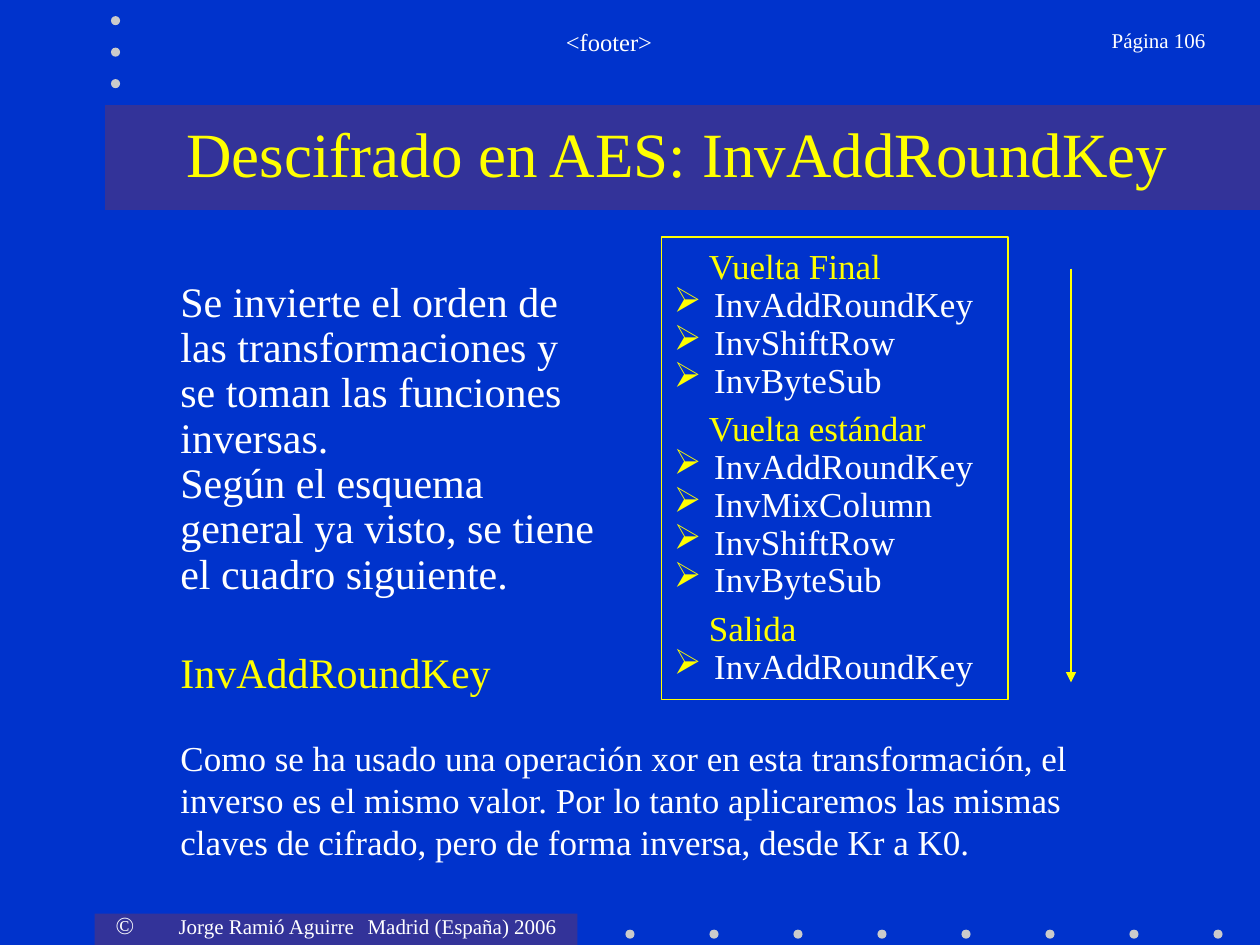
from lxml.etree import SubElement as Sub
from pptx import Presentation
from pptx.dml.color import RGBColor as RGB
from pptx.enum.shapes import MSO_CONNECTOR as Link, MSO_SHAPE as Kind
from pptx.enum.text import MSO_ANCHOR as Anchor, PP_ALIGN as Align
from pptx.oxml.ns import qn
from pptx.util import Pt

COLORS = {"back": "0033CC", "band": "333399", "dot": "CBCBCB",
          "text": "FFFFFF", "accent": "FFFF00"}
FONT = "Times New Roman"
ROUNDS = {
    "Vuelta Final": ["InvAddRoundKey", "InvShiftRow", "InvByteSub"],
    "Vuelta estándar": ["InvAddRoundKey", "InvMixColumn",
                        "InvShiftRow", "InvByteSub"],
    "Salida": ["InvAddRoundKey"],
}


def tint(name):
    return RGB.from_string(COLORS[name])


class Deck:
    """Holds the style and the current slide; lengths are in points."""

    def __init__(self, wide, high):
        self.show = Presentation()
        self.show.slide_width, self.show.slide_height = Pt(wide), Pt(high)
        self.slide = self.show.slides.add_slide(self.show.slide_layouts[6])
        fill = self.slide.background.fill
        fill.solid()
        fill.fore_color.rgb = tint("back")

    def shape(self, kind, x, y, w, h, fill=None, line=None):
        item = self.slide.shapes.add_shape(kind, Pt(x), Pt(y), Pt(w), Pt(h))
        item.shadow.inherit = False
        if fill:
            item.fill.solid()
            item.fill.fore_color.rgb = tint(fill)
        else:
            item.fill.background()
        if line:
            item.line.color.rgb = tint(line)
            item.line.width = Pt(1)
        else:
            item.line.fill.background()
        return item

    def dots(self, x, y, count, dx=0, dy=0):
        for i in range(count):
            self.shape(Kind.OVAL, x + i * dx, y + i * dy, 5.2, 5.2, "dot")

    def frame(self, item, pad=3.6, foot=3.6, anchor=Anchor.TOP):
        """Set the wrapping, margins and anchor of a shape's text."""
        body = item.text_frame
        body.word_wrap = True
        body.margin_left = body.margin_right = Pt(7.2)
        body.margin_top, body.margin_bottom = Pt(pad), Pt(foot)
        body.vertical_anchor = anchor
        return body

    def box(self, x, y, w, h, **look):
        item = self.slide.shapes.add_textbox(Pt(x), Pt(y), Pt(w), Pt(h))
        return self.frame(item, **look)

    def para(self, body, runs, align=Align.LEFT, before=0, space=1.0,
             left=0, mark=None, tabs=()):
        """Add a paragraph; each run is a (text, size, color) tuple."""
        first = body.paragraphs[0]
        line = body.add_paragraph() if first.runs else first
        props = line._p.get_or_add_pPr()
        props.set("marL", str(Pt(left)))
        props.set("indent", str(Pt(-left) if mark else 0))
        if mark:
            hue = Sub(props, qn("a:buClr"))
            Sub(hue, qn("a:srgbClr"), val=COLORS["accent"])
            Sub(props, qn("a:buChar"), char=mark)
        if tabs:
            stops = Sub(props, qn("a:tabLst"))
            for stop in tabs:
                Sub(stops, qn("a:tab"), pos=str(Pt(stop)), algn="l")
        line.alignment, line.line_spacing = align, space
        if before:
            line.space_before = Pt(before)
        for text, size, color in runs:
            run = line.add_run()
            run.text = text
            run.font.name, run.font.size = FONT, Pt(size)
            run.font.color.rgb = tint(color)

    def arrow(self, x, top, end):
        item = self.slide.shapes.add_connector(
            Link.STRAIGHT, Pt(x), Pt(top), Pt(x), Pt(end))
        item.line.color.rgb = tint("accent")
        item.line.width = Pt(1)
        Sub(item.line._get_or_add_ln(), qn("a:tailEnd"), type="triangle")
        Sub(item._element.spPr, qn("a:effectLst"))


def main():
    deck = Deck(720, 540)

    # Bands and dots
    deck.shape(Kind.RECTANGLE, 54, 522, 276, 18, "band")
    deck.dots(357.4, 531.2, 8, dx=48)
    deck.shape(Kind.RECTANGLE, 60, 60, 660, 60, "band")
    deck.dots(63.4, 9.2, 3, dy=18)

    # Header, footer and title
    deck.para(deck.box(59, 516.2, 274, 24),
              [("©", 14, "text"),
               ("\tJorge Ramió Aguirre\tMadrid (España) 2006", 12, "text")],
              tabs=(16.7, 147))
    deck.para(deck.box(114, 12, 468, 36),
              [("<footer>", 14, "text")], Align.CENTER)
    deck.para(deck.box(597.6, 12, 98.4, 36),
              [("Página 106", 12, "text")], Align.RIGHT)
    deck.para(deck.box(66, 60, 642, 54, anchor=Anchor.MIDDLE),
              [("Descifrado en AES: InvAddRoundKey", 36, "accent")],
              Align.CENTER)

    # Order of the rounds
    panel = deck.shape(Kind.RECTANGLE, 378, 135.3, 198, 264.4, line="accent")
    body = deck.frame(panel, pad=7.2, foot=7.2)
    for i, (head, steps) in enumerate(ROUNDS.items()):
        deck.para(body, [(head, 20, "accent")], space=0.9, left=20,
                  before=6.2 if i else 0)
        for step in steps:
            deck.para(body, [(step, 20, "text")], space=0.9, left=23,
                      mark="➢")
    deck.arrow(612, 153.5, 390)

    # Main text
    intro = deck.box(96, 157, 252, 185, foot=0)
    for text in ("Se invierte el orden de las transformaciones y se toman "
                 "las funciones inversas.",
                 "Según el esquema general ya visto, se tiene el cuadro "
                 "siguiente."):
        deck.para(intro, [(text, 24, "text")], space=0.9)

    note = deck.box(96, 365.6, 528, 129, foot=0)
    deck.para(note, [("InvAddRoundKey", 24, "accent")])
    deck.para(note, [("Como se ha usado una operación xor en esta "
                      "transformación, el inverso es el mismo valor. Por lo "
                      "tanto aplicaremos las mismas claves de cifrado, pero "
                      "de forma inversa, desde Kr a K0.", 20, "text")],
              before=23)

    deck.show.save("out.pptx")


if __name__ == "__main__":
    main()
